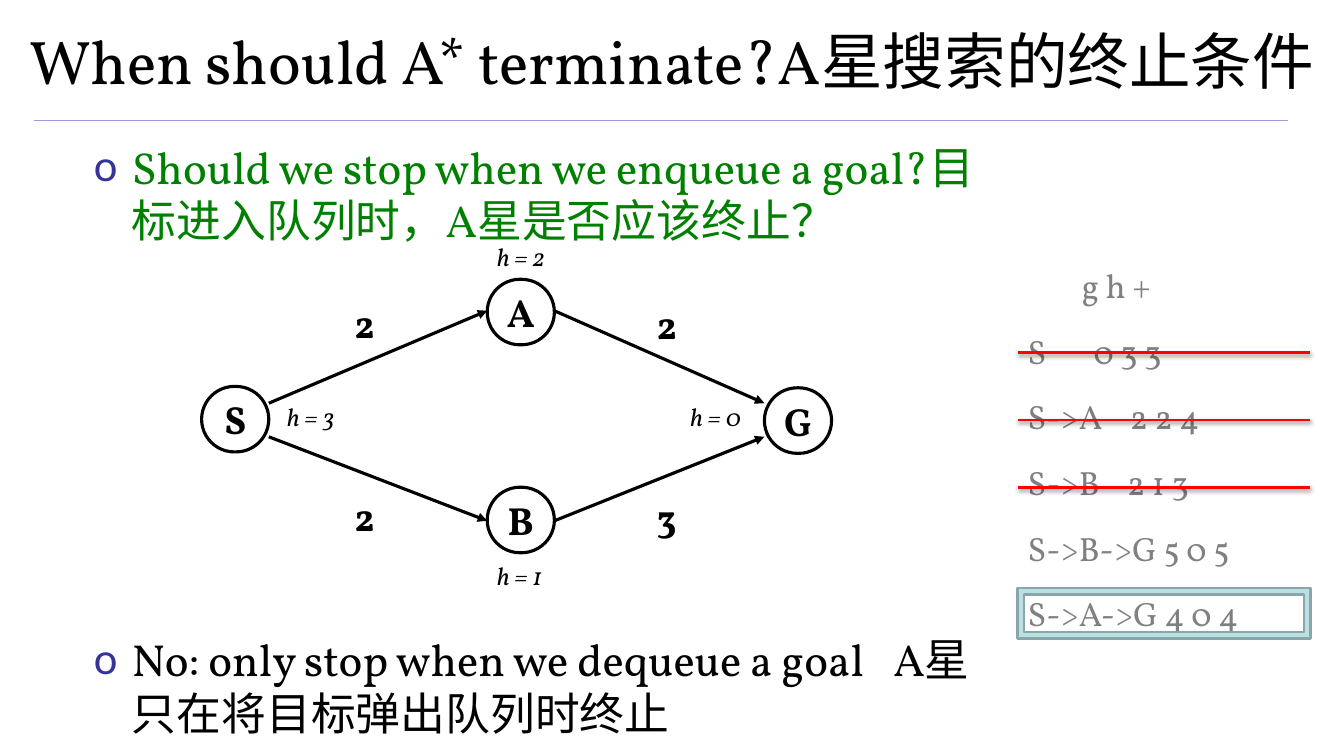
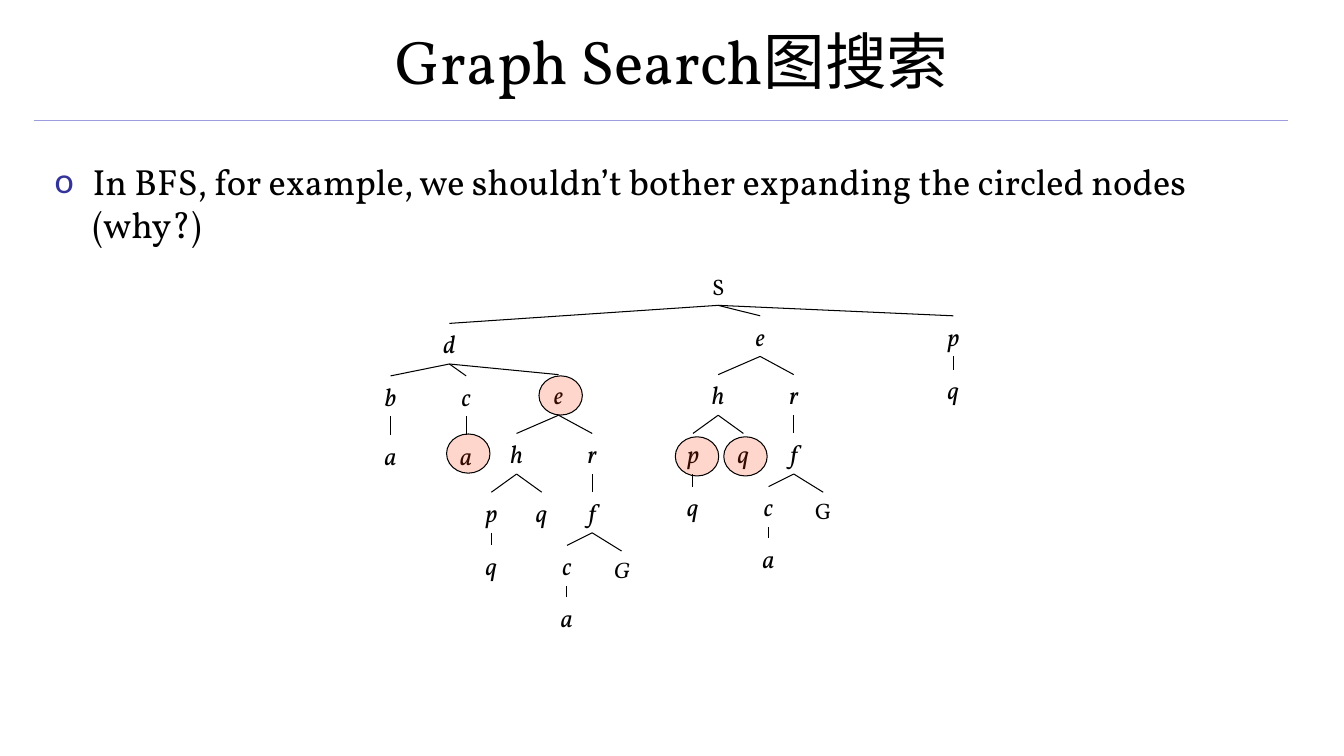
from dataclasses import dataclass, field

from lxml.etree import SubElement
from pptx import Presentation
from pptx.dml.color import RGBColor as RGB
from pptx.enum.shapes import MSO_CONNECTOR as CONN, MSO_SHAPE as SHAPE
from pptx.enum.text import MSO_ANCHOR as ANCHOR, PP_ALIGN as ALIGN
from pptx.oxml.ns import qn
from pptx.util import Pt


@dataclass(frozen=True)
class Theme:
    font: str = "Vollkorn"
    black: str = "000000"
    rule: str = "9C9CDF"
    bullet: str = "333399"
    question: str = "008000"
    queue: str = "808080"
    strike: str = "FF0000"
    frame_fill: str = "BBE0E3"
    frame_line: str = "8AA6A8"
    circle: str = "FF3300"
    title_size: int = 44
    body_size: int = 32
    small_body_size: int = 26
    node_size: int = 28
    queue_size: int = 24
    label_size: int = 18
    goal_size: int = 16


@dataclass
class Node:
    label: str
    x: float  # centre
    y: float  # top
    children: list = field(default_factory=list)
    italic: bool = True

    @property
    def height(self):
        return 29 if self.italic else 26.6


class Deck:
    def __init__(self, theme):
        self.theme = theme
        self.prs = Presentation()
        self.prs.slide_width, self.prs.slide_height = Pt(960), Pt(540)
        self.s = None

    def new_slide(self, title):
        self.s = self.prs.slides.add_slide(self.prs.slide_layouts[6])
        self.line((24, 86), (920, 86), self.theme.rule, 1)
        self.text((0, -2, 960, 90), title, self.theme.title_size,
                  align=ALIGN.CENTER, anchor=ANCHOR.MIDDLE)

    def run(self, p, text, size, color=None, spacing=0, **formats):
        r = p.add_run()
        r.text = text
        formats = {"name": self.theme.font, "size": Pt(size), **formats}
        for name, value in formats.items():
            setattr(r.font, name, value)
        r.font.color.rgb = RGB.from_string(color or self.theme.black)
        if spacing:
            r._r.get_or_add_rPr().set("spc", str(spacing * 100))

    def text(self, box, text, size, color=None, align=ALIGN.LEFT,
             anchor=ANCHOR.TOP, **formats):
        tf = self.s.shapes.add_textbox(*map(Pt, box)).text_frame
        tf.word_wrap = True
        tf.vertical_anchor = anchor
        p = tf.paragraphs[0]
        p.alignment = align
        if text:
            self.run(p, text, size, color, **formats)
        return p

    def bullet(self, box, parts, size, color=None):
        """Bulleted paragraph; parts are (text, letter spacing) pairs."""
        p = self.text(box, "", size)
        pPr = p._p.get_or_add_pPr()
        pPr.set("marL", str(Pt(27)))
        pPr.set("indent", str(-Pt(27)))
        SubElement(SubElement(pPr, qn("a:buClr")), qn("a:srgbClr"),
                   val=self.theme.bullet)
        SubElement(pPr, qn("a:buFont"), typeface="+mn-lt")
        SubElement(pPr, qn("a:buChar"), char="o")
        for text, spacing in parts:
            self.run(p, text, size, color, spacing)

    def queue_row(self, box, text, tab):
        p = self.text(box, text, self.theme.queue_size, self.theme.queue)
        if tab:
            tabs = SubElement(p._p.get_or_add_pPr(), qn("a:tabLst"))
            SubElement(tabs, qn("a:tab"), pos=str(Pt(tab)), algn="l")

    def line(self, start, end, color=None, width=0.75, arrow=False, shadow=False):
        c = self.s.shapes.add_connector(CONN.STRAIGHT, *map(Pt, start + end))
        c.line.color.rgb = RGB.from_string(color or self.theme.black)
        c.line.width = Pt(width)
        if arrow:
            SubElement(c.line._get_or_add_ln(), qn("a:tailEnd"), type="triangle")
        effects = SubElement(c._element.spPr, qn("a:effectLst"))
        if shadow:
            sh = SubElement(effects, qn("a:outerShdw"), blurRad=str(Pt(3.1)),
                            dist=str(Pt(1.6)), dir="5400000", rotWithShape="0")
            clr = SubElement(sh, qn("a:srgbClr"), val=self.theme.black)
            SubElement(clr, qn("a:alpha"), val="38000")

    def shape(self, kind, box, fill=None, line=None, width=0.75, alpha=None):
        sp = self.s.shapes.add_shape(kind, *map(Pt, box))
        sp.shadow.inherit = False
        if fill:
            sp.fill.solid()
            sp.fill.fore_color.rgb = RGB.from_string(fill)
        else:
            sp.fill.background()
        if alpha:
            clr = sp._element.spPr.find(qn("a:solidFill")).find(qn("a:srgbClr"))
            SubElement(clr, qn("a:alpha"), val=str(alpha * 1000))
        sp.line.color.rgb = RGB.from_string(line or self.theme.black)
        sp.line.width = Pt(width)
        return sp

    def graph_node(self, label, x, y):
        sp = self.shape(SHAPE.ROUNDED_RECTANGLE, (x, y, 48, 46.8), width=2.25)
        sp.adjustments[0] = 0.5
        tf = sp.text_frame
        tf.word_wrap = False
        tf.vertical_anchor = ANCHOR.MIDDLE
        p = tf.paragraphs[0]
        p.alignment = ALIGN.CENTER
        self.run(p, label, self.theme.node_size, bold=True)

    def tree(self, node):
        width = 60 if node.label in "SG" else 30
        size = self.theme.goal_size if width == 60 else self.theme.label_size
        self.text((node.x - width / 2, node.y, width, node.height), node.label,
                  size, align=ALIGN.CENTER, italic=node.italic)
        for child in node.children:
            self.line((node.x, node.y + node.height), (child.x, child.y))
            self.tree(child)


def e_subtree(x, y, goal_italic):
    """The branch below e, which the search tree holds twice."""
    def at(label, dx, dy, *children, italic=True):
        return Node(label, x + dx, y + dy, list(children), italic)

    return at("e", 0, 0,
              at("h", -30, 42,
                 at("p", -48, 84, at("q", -48, 122)),
                 at("q", -12, 84)),
              at("r", 24, 42,
                 at("f", 24, 84,
                    at("c", 6, 122, at("a", 6, 159)),
                    at("G", 45, 126, italic=goal_italic))))


def termination_slide(deck):
    t = deck.theme
    deck.new_slide("When should A* terminate?A星搜索的终止条件")
    deck.bullet((60, 96, 660, 90),
                [("Should we stop when we enqueue a goal?目标进入队列时，A星是否应该终止？", 0)],
                t.body_size, t.question)
    deck.bullet((60, 448, 660, 90),
                [("No: only stop when we dequeue a goal", 0), (" ", 14),
                 ("A星只在将目标弹出队列时终止", 0)], t.body_size)

    for label, x, y in [("S", 144, 276), ("A", 348, 199.5),
                        ("B", 348, 348), ("G", 546, 277)]:
        deck.graph_node(label, x, y)
    for start, end in [((192, 288), (348, 222)), ((396, 222), (546, 288)),
                       ((192, 312), (348, 372)), ((396, 372), (546, 312))]:
        deck.line(start, end, width=2.25, arrow=True)
    for cost, x, y in [("2", 246, 210), ("2", 462, 211),
                       ("2", 246, 348), ("3", 462, 349)]:
        deck.text((x, y, 36, 41), cost, t.node_size, bold=True)
    for h, x, y in [(3, 198, 283), (2, 348, 169), (1, 348, 397), (0, 486, 283)]:
        deck.text((x, y, 72, 29), f"h = {h}", t.label_size, italic=True)

    left, top, pitch, width, height = 727, 186, 46.8, 209, 36
    rows = [("\tg h +", 38.6), ("S\t0 3 3", 47), ("S->A\t2 2 4", 73),
            ("S->B\t2 1 3", 71), ("S->B->G 5 0 5", 0), ("S->A->G 4 0 4", 0)]
    for i, (text, tab) in enumerate(rows):
        deck.queue_row((left, top + i * pitch, width, height), text, tab)
    for y in range(252, 349, 48):
        deck.line((left, y), (left + width, y), t.strike, 2, shadow=True)
    deck.shape(SHAPE.FRAME, (left, top + 5 * pitch, width, height),
               t.frame_fill, t.frame_line, 2)


def graph_search_slide(deck):
    t = deck.theme
    deck.new_slide("Graph Search图搜索")
    deck.bullet((32, 110, 896, 80),
                [("In BFS, for example, we shouldn’t bother expanding "
                  "the circled nodes (why?)", 0)], t.small_body_size)
    d = Node("d", 321, 231, [
        Node("b", 279, 268.5, [Node("a", 279, 311)]),
        Node("c", 333, 268.5, [Node("a", 333, 311)]),
        e_subtree(399, 267.6, True)])
    p = Node("p", 681, 225.6, [Node("q", 681, 264)])
    deck.tree(Node("S", 513, 191.5, [d, e_subtree(543, 225.6, False), p], False))
    for x, y in [(385, 268.5), (482.4, 312), (319, 310), (517, 312)]:
        deck.shape(SHAPE.OVAL, (x, y, 31, 28), t.circle, alpha=20)


def main():
    deck = Deck(Theme())
    termination_slide(deck)
    graph_search_slide(deck)
    deck.prs.save("out.pptx")


if __name__ == "__main__":
    main()
